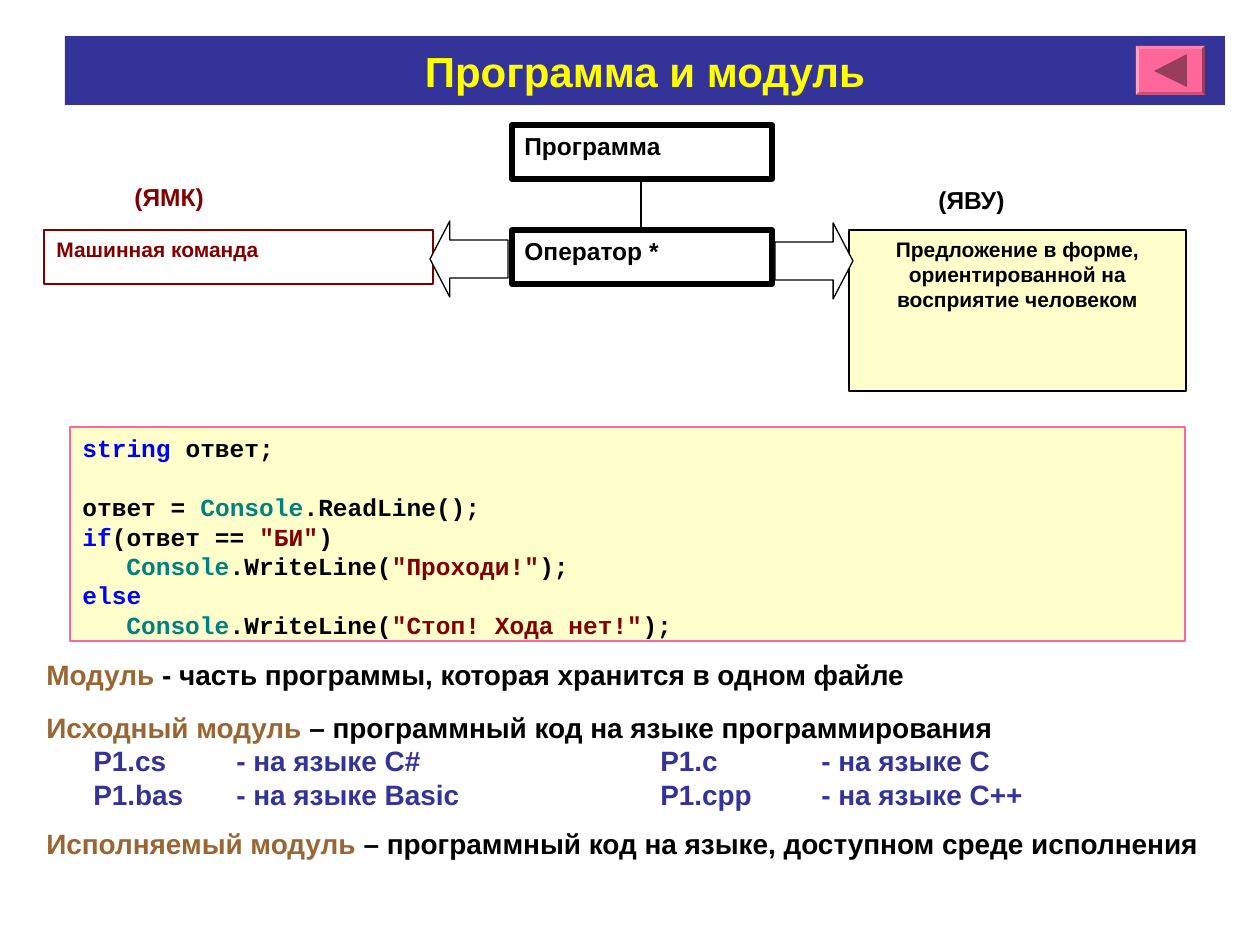
from dataclasses import dataclass

from lxml import etree
from pptx import Presentation
from pptx.dml.color import RGBColor
from pptx.enum.shapes import MSO_CONNECTOR, MSO_SHAPE
from pptx.enum.text import MSO_ANCHOR, PP_ALIGN
from pptx.oxml.ns import qn
from pptx.util import Emu, Inches, Pt

RECT, ARROW, BEVEL = MSO_SHAPE.RECTANGLE, MSO_SHAPE.RIGHT_ARROW, MSO_SHAPE.BEVEL
STRAIGHT = MSO_CONNECTOR.STRAIGHT
LEFT, CENTER = PP_ALIGN.LEFT, PP_ALIGN.CENTER
TOP, MIDDLE = MSO_ANCHOR.TOP, MSO_ANCHOR.MIDDLE
SCALE = 914400 // 126


@dataclass(frozen=True)
class Theme:
    sans: str = "Arial"
    mono: str = "Courier New"
    black: str = "000000"
    white: str = "FFFFFF"
    navy: str = "333399"
    yellow: str = "FFFF00"
    cream: str = "FFFFCC"
    pink: str = "FF6699"
    plum: str = "993D5C"
    brown: str = "996633"
    red: str = "800000"
    blue: str = "0000FF"
    teal: str = "008080"
    head: int = 24
    body: int = 16
    label: int = 14
    small: int = 12
    thick: float = 3
    thin: float = 0.74


T = Theme()


def px(n):
    return Emu(round(n * SCALE))


def rgb(color):
    return RGBColor.from_string(color)


def write(shape, paras, size=T.label, color=T.black, font=T.sans,
          align=LEFT, anchor=TOP):
    """Each paragraph is a string or a list of strings and (text, color) pairs."""
    frame = shape.text_frame
    frame.word_wrap = True
    frame.vertical_anchor = anchor
    frame.margin_left = frame.margin_right = Inches(0.1)
    frame.margin_top = frame.margin_bottom = Inches(0.05)
    for i, runs in enumerate(paras):
        para = frame.add_paragraph() if i else frame.paragraphs[0]
        para.alignment = align
        for part in [runs] if isinstance(runs, str) else runs:
            text, tone = (part, color) if isinstance(part, str) else part
            run = para.add_run()
            run.text = text
            run.font.name, run.font.size, run.font.bold = font, Pt(size), True
            run.font.color.rgb = rgb(tone)
    return frame.paragraphs


def paint(shape, fill, line=None, width=T.thin):
    shape.shadow.inherit = False
    shape.fill.solid()
    shape.fill.fore_color.rgb = rgb(fill)
    if line:
        shape.line.color.rgb = rgb(line)
        shape.line.width = Pt(width)
    else:
        shape.line.fill.background()


def block(slide, box, fill=T.white, line=None, width=T.thin, kind=RECT):
    shape = slide.shapes.add_shape(kind, *map(px, box))
    paint(shape, fill, line, width)
    return shape


def set_tabs(para, stops):
    tabs = etree.SubElement(para._p.get_or_add_pPr(), qn("a:tabLst"))
    for stop in stops:
        etree.SubElement(tabs, qn("a:tab"), pos=str(px(stop)), algn="l")


# Title bar with a back button at its right end
def header(slide, box):
    x, y, w, h = box
    title = slide.shapes.title
    title.left, title.top, title.width, title.height = map(px, box)
    title.fill.solid()
    title.fill.fore_color.rgb = rgb(T.navy)
    write(title, ["Программа и модуль"], size=T.head, color=T.yellow,
          align=CENTER, anchor=MIDDLE)
    left, top = x + w - 89, y + 10
    button = block(slide, (left, top, 69, 49), T.pink, kind=BEVEL)
    button.adjustments[0] = 0.06
    pen = slide.shapes.build_freeform(left + 18, top + 25, scale=SCALE)
    pen.add_line_segments([(left + 51, top + 8), (left + 51, top + 41)])
    paint(pen.convert_to_shape(), T.plum)


# Program and operator, with the two forms an operator takes
def diagram(slide, box):
    x, y, w, h = box
    row, tall, mid, wide = y + 105, 54, x + 468, 260
    for left, top, text, color in ((x + 882, y + 54, "(ЯВУ)", T.black),
                                   (x + 78, y + 51, "(ЯМК)", T.red)):
        write(block(slide, (left, top, 207, 72)), [text], color=color)
    for top, text in ((row, "Оператор *"), (y, "Программа")):
        node = block(slide, (mid, top, wide, tall), line=T.black, width=T.thick)
        write(node, [text])
    axis = mid + wide // 2 - 1
    link = slide.shapes.add_connector(
        STRAIGHT, px(axis), px(y + 52), px(axis), px(row - 2))
    link.line.color.rgb = rgb(T.black)
    link.line.width = Pt(T.thin)
    etree.SubElement(link._element.spPr, qn("a:effectLst"))
    write(block(slide, (x, row, 389, tall), line=T.red),
          ["Машинная команда"], size=T.small, color=T.red)
    write(block(slide, (x + w - 337, row, 337, h - 105), T.cream, T.black),
          ["Предложение в форме, ориентированной на восприятие человеком"],
          size=T.small, align=CENTER)
    for left, top, turn in ((x + 731, row - 7, 0), (x + 386, row - 9, 180)):
        arrow = block(slide, (left, top, 78, 76), line=T.black, kind=ARROW)
        arrow.adjustments[0], arrow.adjustments[1] = 0.5, 0.26
        arrow.rotation = turn


# Sample program
def code(slide, box):
    def call(text):
        return [("Console", T.teal), ".WriteLine(", (text, T.red), ");"]

    lines = write(block(slide, box, T.cream, T.pink), [
        [("string", T.blue), " ответ;"],
        ["ответ = ", ("Console", T.teal), ".ReadLine();"],
        [("if", T.blue), "(ответ == ", ('"БИ"', T.red), ")"],
        call('"Проходи!"'),
        [("else", T.blue)],
        call('"Стоп! Хода нет!"'),
    ], font=T.mono)
    lines[1].space_before = Pt(16.9)
    for line in (lines[3], lines[5]):
        line._p.get_or_add_pPr().set("marL", str(px(44)))


# Definitions of the kinds of module
def terms(slide, box):
    x, y, w, h = box
    files = ["\tP1.cs\t- на языке C#\tP1.c\t- на языке C",
             "\tP1.bas\t- на языке Basic\tP1.cpp\t- на языке C++"]
    items = (
        (0, 47, "Модуль", " - часть программы, которая хранится в одном файле", []),
        (53, 113, "Исходный модуль",
         " – программный код на языке программирования", files),
        (h - 47, 47, "Исполняемый модуль",
         " – программный код на языке, доступном среде исполнения", []),
    )
    for top, tall, name, text, rows in items:
        area = slide.shapes.add_textbox(*map(px, (x, y + top, w, tall)))
        paras = [[(name, T.brown), text]] + [[(row, T.navy)] for row in rows]
        for para in write(area, paras, size=T.body, anchor=MIDDLE)[1:]:
            set_tabs(para, (47, 190, 614, 775))


def main():
    deck = Presentation()
    deck.slide_width, deck.slide_height = Inches(10), Inches(7.5)
    slide = deck.slides.add_slide(deck.slide_layouts[5])
    header(slide, (65, 36, 1160, 69))
    diagram(slide, (44, 125, 1142, 266))
    code(slide, (70, 427, 1115, 214))
    terms(slide, (34, 651, 1186, 216))
    deck.save("out.pptx")


main()
